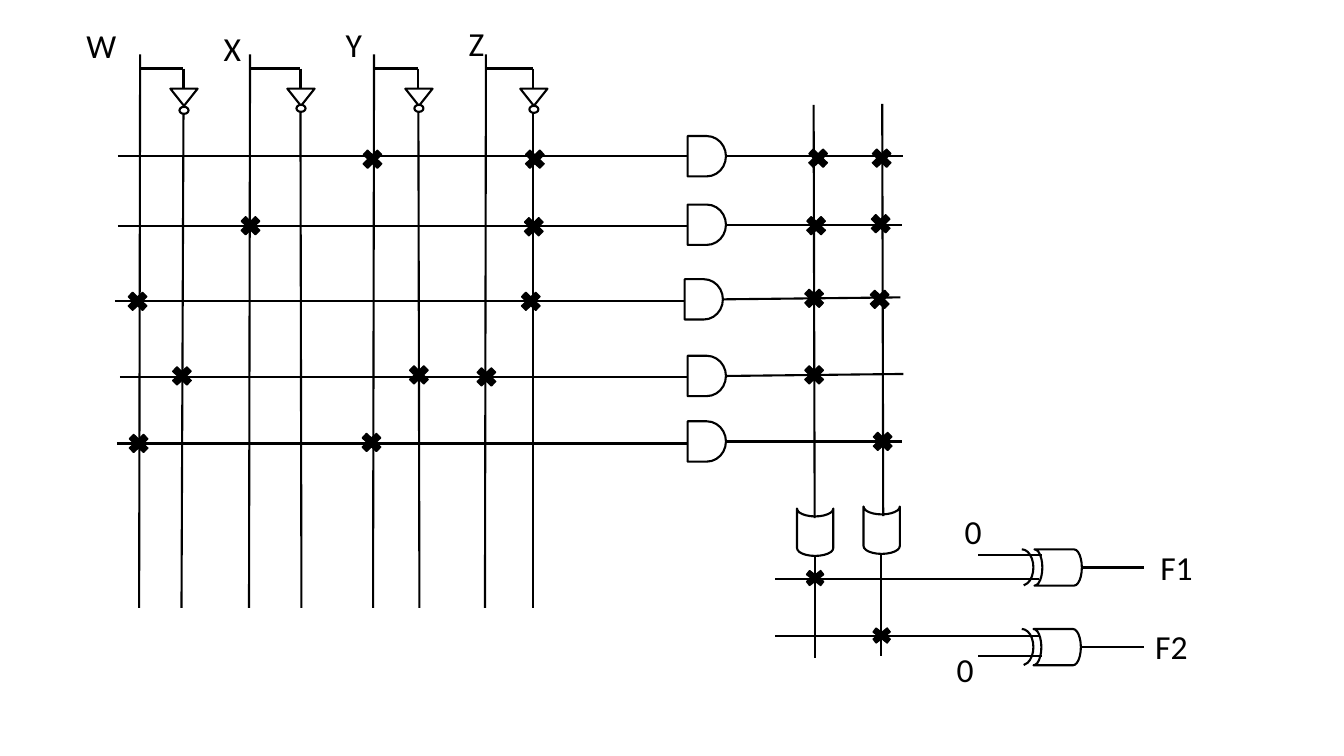
from lxml import etree
from pptx import Presentation
from pptx.dml.color import RGBColor
from pptx.enum.shapes import MSO_CONNECTOR, MSO_SHAPE
from pptx.oxml.ns import qn
from pptx.util import Inches, Pt

STRAIGHT = MSO_CONNECTOR.STRAIGHT
AND_GATE = MSO_SHAPE.FLOWCHART_DELAY
OR_GATE = MSO_SHAPE.FLOWCHART_STORED_DATA
TRIANGLE = MSO_SHAPE.ISOSCELES_TRIANGLE
OVAL = MSO_SHAPE.OVAL
CROSS = MSO_SHAPE.MATH_MULTIPLY
ARC = MSO_SHAPE.ARC
BLACK, WHITE = "000000", "FFFFFF"
RIGHT = 3

# name, label left, label top, true line x, inverter left, bubble top, inverted line end x
INPUTS = [
    ("W", 0.76, 0.20, 1.39, 1.69, 1.06, 1.80),
    ("X", 2.12, 0.23, 2.48, 2.85, 1.04, 2.99),
    ("Y", 3.33, 0.19, 3.71, 4.02, 1.04, 4.16),
    ("Z", 4.55, 0.18, 4.82, 5.16, 1.05, 5.29),
]

# gate left, gate top, wire start x, wire y, output end x, output end y, crosses
TERMS = [
    (6.82, 1.35, 1.17, 1.55, 8.96, 1.55,
     [(3.56, 1.45), (5.17, 1.45), (7.98, 1.44), (8.61, 1.44)]),
    (6.82, 2.03, 1.17, 2.24, 8.95, 2.23,
     [(2.35, 2.11), (5.16, 2.12), (7.96, 2.11), (8.60, 2.09)]),
    (6.79, 2.77, 1.14, 2.99, 8.93, 2.95,
     [(1.23, 2.86), (5.13, 2.86), (7.94, 2.83), (8.59, 2.84)]),
    (6.82, 3.53, 1.19, 3.74, 8.96, 3.71,
     [(1.67, 3.60), (4.02, 3.59), (4.69, 3.61), (7.94, 3.59)]),
    (6.82, 4.18, 1.16, 4.40, 8.95, 4.38,
     [(1.24, 4.27), (3.55, 4.26), (8.62, 4.25)]),
]

# line x, line top, gate left, gate top, stem x, stem top, stem end, cross left, cross top
SUMS = [
    (8.07, 1.04, 7.85, 5.10, 8.08, 5.53, 6.53, 7.95, 5.63),
    (8.75, 1.03, 8.51, 5.08, 8.74, 5.50, 6.51, 8.61, 6.20),
]

# name, label left, label top, gate left, gate top, wire y, zero wire y, zero left, zero top
OUTPUTS = [
    ("F1", 11.41, 5.38, 10.26, 5.45, 5.74, 5.51, 9.47, 5.02),
    ("F2", 11.36, 6.16, 10.25, 6.24, 6.31, 6.51, 9.39, 6.39),
]


def color(code):
    return RGBColor.from_string(code)


def add_part(slide, kind, left, top, width, height, fill=None, weight=1.5, turn=0):
    part = slide.shapes.add_shape(
        kind, Inches(left), Inches(top), Inches(width), Inches(height))
    part.shadow.inherit = False
    part.rotation = turn
    if fill:
        part.fill.solid()
        part.fill.fore_color.rgb = color(fill)
    else:
        part.fill.background()
    part.line.color.rgb = color(BLACK)
    part.line.width = Pt(weight)
    return part


def add_wire(slide, x1, y1, x2, y2):
    wire = slide.shapes.add_connector(
        STRAIGHT, Inches(x1), Inches(y1), Inches(x2), Inches(y2))
    wire.line.color.rgb = color(BLACK)
    wire.line.width = Pt(1.5)
    etree.SubElement(wire._element.spPr, qn("a:effectLst"))
    return wire


def add_cross(slide, left, top, height=0.26):
    add_part(slide, CROSS, left, top, 0.27, height, fill=BLACK, weight=1)


def add_label(slide, text, left, top, width=0.5):
    box = slide.shapes.add_textbox(
        Inches(left), Inches(top), Inches(width), Inches(0.5))
    frame = box.text_frame
    frame.word_wrap = True
    frame.text = text
    font = frame.paragraphs[0].runs[0].font
    font.name = "Calibri"
    font.size = Pt(24)
    font.color.rgb = color(BLACK)


def add_input(slide, name, left, top, line, inv, dot, end):
    """Draw an input line with its inverted line beside it."""
    mid = inv + 0.13
    add_label(slide, name, left, top)
    add_wire(slide, line, 0.54, line - 0.01, 6.03)
    add_wire(slide, line, 0.68, mid, 0.68)
    add_wire(slide, mid, 0.68, mid, 0.88)
    add_part(slide, TRIANGLE, inv, 0.88, 0.27, 0.17, turn=180)
    add_wire(slide, mid, dot + 0.07, end, 6.03)
    add_part(slide, OVAL, inv + 0.09, dot, 0.09, 0.07, fill=WHITE)


def add_term(slide, left, top, start, level, end, drop, marks):
    """Draw a product row: wire, AND gate, output and crosses."""
    gate = add_part(slide, AND_GATE, left, top, 0.38, 0.4)
    add_wire(slide, start, level, left, level)
    out = add_wire(slide, left + 0.38, top + 0.2, end, drop)
    out.begin_connect(gate, RIGHT)
    for mark in marks:
        add_cross(slide, *mark)


def add_sum(slide, line, start, left, top, stem, head, end, mark, level):
    """Draw a sum column: line, OR gate, stem and cross."""
    add_wire(slide, line, start, line + 0.01, top + 0.04)
    add_part(slide, OR_GATE, left, top, 0.47, 0.36, turn=270)
    add_wire(slide, stem, head, stem, end)
    add_cross(slide, mark, level, height=0.21)


def add_output(slide, name, left, top, gate, level, wire, zero, side, high):
    """Draw an XOR gate with its two inputs and its output."""
    add_part(slide, OR_GATE, gate, level, 0.47, 0.36, turn=180)
    arc = add_part(slide, ARC, 10.02, level, 0.23, 0.36)
    arc.adjustments[0] = 162
    arc.adjustments[1] = 50.376
    add_wire(slide, 7.69, wire, 10.31, wire)
    add_wire(slide, 9.7, zero, 10.33, zero)
    add_wire(slide, 10.72, level + 0.18, 11.35, level + 0.18)
    add_label(slide, "0", side, high)
    add_label(slide, name, left, top, width=0.74)


def main():
    deck = Presentation()
    deck.slide_width = Inches(13.33)
    deck.slide_height = Inches(7.5)
    slide = deck.slides.add_slide(deck.slide_layouts[6])
    for item in INPUTS:
        add_input(slide, *item)
    for item in TERMS:
        add_term(slide, *item)
    for item in SUMS:
        add_sum(slide, *item)
    for item in OUTPUTS:
        add_output(slide, *item)
    deck.save("out.pptx")


if __name__ == "__main__":
    main()
